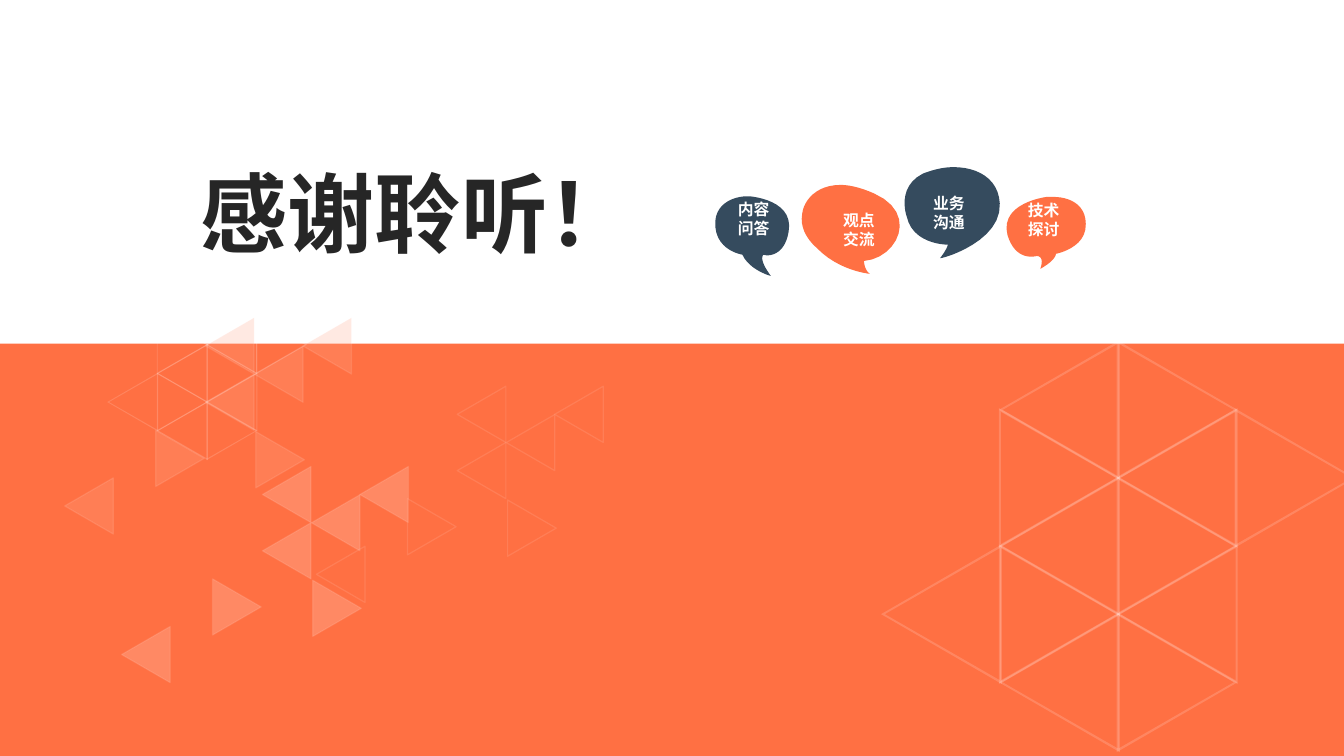
"""Build the closing thank-you slide with a triangle pattern and speech bubbles."""
from dataclasses import dataclass
from typing import Any, NamedTuple, Optional

import lxml.etree
import pptx
import pptx.dml.color
import pptx.enum.lang
import pptx.enum.shapes
import pptx.enum.text
import pptx.oxml.ns
import pptx.util

Pt = pptx.util.Pt
COLORS = {"orange": "FF7043", "peach": "FFA98E", "navy": "354B5E", "white": "FFFFFF", "ink": "262626"}
WIDTH, HEIGHT, BAND_TOP = 1360.8, 765.36, 347.8
CURVE_STEPS = 12
CJK_FONT = "Noto Sans CJK SC"
CHINESE = pptx.enum.lang.MSO_LANGUAGE_ID.SIMPLIFIED_CHINESE
TITLE_FONT = {"name": "Arial", "size": Pt(88), "bold": True, "language_id": CHINESE}
BUBBLE_FONT = {"name": CJK_FONT, "size": Pt(16), "bold": True, "language_id": CHINESE}
TOP = pptx.enum.text.MSO_ANCHOR.TOP
MIDDLE = pptx.enum.text.MSO_ANCHOR.MIDDLE
CENTER = pptx.enum.text.PP_ALIGN.CENTER
LEFT = pptx.enum.text.PP_ALIGN.LEFT

Point = tuple[float, float]


class Lattice(NamedTuple):
    left: float
    top: float
    column_step: float
    row_step: float
    width: float
    height: float
    tip_inset: float
    flat_inset: float
    alpha: int


class Cell(NamedTuple):
    column: int
    row: int
    points_left: bool


class Triangle(NamedTuple):
    x: float
    y: float
    points_left: bool


class Cluster(NamedTuple):
    left: float
    top: float
    color: str
    alpha: int


@dataclass
class Bubble:
    lines: tuple[str, str]
    color: str
    anchor: Any
    text_shift: float
    start: Point
    curves: list[tuple[float, float, float, float, float, float]]


LATTICES = [
    Lattice(892.1, 344.2, 119.3, 68.95, 122.4, 141.5, 3.8, 2, 16),
    Lattice(108.6, 290.2, 50.2, 29, 51.6, 59.7, 1.8, 0.9, 15),
]
CELLS = [Cell(column, row, True) for column, row in [(1, 0), (2, 1), (1, 2), (2, 3), (0, 3), (1, 4)]]
CELLS += [Cell(column, row, False) for column, row in [(2, 0), (3, 1), (1, 1), (2, 2), (1, 3), (2, 4)]]

TRIANGLE_WIDTH, TRIANGLE_HEIGHT = 49.2, 56.9
TRIANGLES = [
    Triangle(0, 162, True), Triangle(142.6, 0, True), Triangle(192.2, 28.6, True),
    Triangle(241.2, 0, True), Triangle(142.6, 57, True),
    Triangle(92.2, 113.8, False), Triangle(193.6, 115.2, False),
]
CLUSTERS = [
    Cluster(65.5, 321.8, "peach", 25),
    Cluster(123.1, 472.2, "peach", 45),
    Cluster(320.4, 391, "orange", 25),
]

BUBBLES = [
    Bubble(("内容", "问答"), "navy", TOP, 1.5, (756.7, 198.7), [
        (742.3, 198.7, 722.2, 206.6, 724.3, 229.7), (726.5, 254.2, 751.7, 257.8, 751.7, 257.8),
        (758.9, 273.6, 780.5, 279.4, 780.5, 279.4), (766.8, 260.6, 773.3, 257.8, 773.3, 257.8),
        (773.3, 257.8, 774.7, 258.5, 776.9, 258.5), (782.6, 258.5, 794.9, 255.6, 798.5, 234.7),
        (803.5, 207.4, 773.3, 200.2, 758.9, 198.7)]),
    Bubble(("业务", "沟通"), "navy", MIDDLE, -3.2, (965.5, 169.2), [
        (954.7, 169.2, 943.9, 172.1, 934.6, 175.7), (907.2, 189.4, 918, 218.9, 918, 218.9),
        (923.8, 246.2, 955.4, 247.7, 959.8, 247.7), (958.3, 253.4, 951.8, 261.4, 951.8, 261.4),
        (956.9, 261.4, 1014.5, 243.4, 1012.3, 205.9), (1010.9, 180, 988.6, 169.2, 965.5, 169.2)]),
    Bubble(("技术", "探讨"), "orange", TOP, -2.5, (1066.3, 199.4), [
        (1064.2, 199.4, 1062, 199.4, 1059.8, 199.4), (1044.7, 201.6, 1013, 211, 1020.2, 238.3),
        (1026, 257, 1037.5, 259.9, 1044, 259.9), (1047.6, 259.9, 1049.8, 259.2, 1049.8, 259.2),
        (1051.2, 259.2, 1057.7, 259.9, 1053.4, 272.2), (1053.4, 272.2, 1068.5, 264.2, 1069.2, 257),
        (1069.2, 257, 1100.2, 251.3, 1099.4, 226.8), (1099.4, 205.9, 1081.4, 199.4, 1066.3, 199.4)]),
    Bubble(("观点", "交流"), "orange", MIDDLE, 8.3, (851, 187.2), [
        (826.6, 187.2, 813.6, 203, 812.2, 216.7), (808.6, 236.2, 826.6, 250.6, 826.6, 250.6),
        (848.9, 274.3, 880.6, 277.2, 880.6, 277.2), (874.8, 272.9, 874.8, 264.2, 874.8, 264.2),
        (908.6, 261.4, 931, 216, 884.9, 195.8), (871.9, 190.1, 860.4, 187.2, 851, 187.2)]),
]


def apply(target: Any, values: dict[str, Any]) -> None:
    for name, value in values.items():
        setattr(target, name, value)


def rgb(color: str) -> pptx.dml.color.RGBColor:
    return pptx.dml.color.RGBColor.from_string(COLORS[color])


def paint(shape: Any, color: str, alpha: int = 100, line_alpha: Optional[int] = None) -> None:
    shape.shadow.inherit = False
    shape.fill.solid()
    shape.fill.fore_color.rgb = rgb(color)
    if line_alpha is None:
        shape.line.fill.background()
    else:
        shape.line.color.rgb = rgb("white")
        shape.line.width = Pt(1.25)
    tag = pptx.oxml.ns.qn("a:srgbClr")
    for node, percent in zip(shape.element.spPr.iter(tag), (alpha, line_alpha)):
        if percent is not None and percent < 100:
            lxml.etree.SubElement(node, pptx.oxml.ns.qn("a:alpha"), val=str(percent * 1000))


def triangle(left: float, top: float, width: float, height: float, points_left: bool) -> list[Point]:
    tip, flat = (left, left + width) if points_left else (left + width, left)
    return [(tip, top + height / 2), (flat, top + height), (flat, top)]


def draw_outline(page: Any, *contours: list[Point]) -> Any:
    builder = None
    for contour in contours:
        first, *rest = [(Pt(x), Pt(y)) for x, y in contour]
        if builder is None:
            builder = page.shapes.build_freeform(*first)
        else:
            builder.move_to(*first)
        builder.add_line_segments(rest, close=True)
    return builder.convert_to_shape()


def draw_frame(page: Any, lattice: Lattice, cell: Cell) -> None:
    left = lattice.left + cell.column * lattice.column_step
    top = lattice.top + cell.row * lattice.row_step
    tip, flat = lattice.tip_inset, lattice.flat_inset
    outer = triangle(left, top, lattice.width, lattice.height, cell.points_left)
    inner = triangle(left + (tip if cell.points_left else flat), top + tip,
                     lattice.width - tip - flat, lattice.height - 2 * tip, cell.points_left)
    paint(draw_outline(page, outer, inner[::-1]), "white", lattice.alpha)


def trace(start: Point, curves: list[tuple[float, ...]]) -> list[Point]:
    points = [start]
    for curve in curves:
        controls = [points[-1], curve[0:2], curve[2:4], curve[4:6]]
        for step in range(1, CURVE_STEPS + 1):
            t = step / CURVE_STEPS
            weights = ((1 - t) ** 3, 3 * t * (1 - t) ** 2, 3 * t * t * (1 - t), t ** 3)
            points.append((sum(w * c[0] for w, c in zip(weights, controls)),
                           sum(w * c[1] for w, c in zip(weights, controls))))
    return points


def write(box: Any, lines: tuple[str, ...], color: str, font: dict[str, Any],
          frame_format: dict[str, Any], para_format: dict[str, Any]) -> None:
    apply(box.text_frame, {"word_wrap": True, **frame_format})
    for index, line in enumerate(lines):
        para = box.text_frame.add_paragraph() if index else box.text_frame.paragraphs[0]
        apply(para, para_format)
        span = para.add_run()
        span.text = line
        apply(span.font, font)
        span.font.color.rgb = rgb(color)
        for properties in para._p.iter(pptx.oxml.ns.qn("a:rPr")):
            lxml.etree.SubElement(properties, pptx.oxml.ns.qn("a:ea"), typeface=CJK_FONT)


def draw_bubble(page: Any, bubble: Bubble) -> None:
    shape = draw_outline(page, trace(bubble.start, bubble.curves))
    paint(shape, bubble.color)
    margins = {"margin_left": Pt(7.2 + max(0, 2 * bubble.text_shift)),
               "margin_right": Pt(7.2 + max(0, -2 * bubble.text_shift))}
    write(shape, bubble.lines, "white", BUBBLE_FONT, {"vertical_anchor": bubble.anchor, **margins},
          {"alignment": CENTER, "line_spacing": Pt(19.2)})


def main() -> None:
    deck = pptx.Presentation()
    apply(deck, {"slide_width": Pt(WIDTH), "slide_height": Pt(HEIGHT)})
    page = deck.slides.add_slide(deck.slide_layouts[6])
    band = page.shapes.add_shape(pptx.enum.shapes.MSO_SHAPE.RECTANGLE, 0, Pt(BAND_TOP),
                                 Pt(WIDTH), Pt(HEIGHT - BAND_TOP))
    paint(band, "orange")
    for lattice in LATTICES:
        for cell in CELLS:
            draw_frame(page, lattice, cell)
    for cluster in CLUSTERS:
        for item in TRIANGLES:
            outline = triangle(cluster.left + item.x, cluster.top + item.y,
                               TRIANGLE_WIDTH, TRIANGLE_HEIGHT, item.points_left)
            paint(draw_outline(page, outline), cluster.color, cluster.alpha, line_alpha=10)
    for bubble in BUBBLES:
        draw_bubble(page, bubble)
    title = page.shapes.add_textbox(Pt(195.8), Pt(155.5), Pt(978.5), Pt(131))
    write(title, ("感谢聆听！",), "ink", TITLE_FONT, {"vertical_anchor": MIDDLE},
          {"alignment": LEFT, "line_spacing": 0.9})
    deck.save("out.pptx")


if __name__ == "__main__":
    main()
